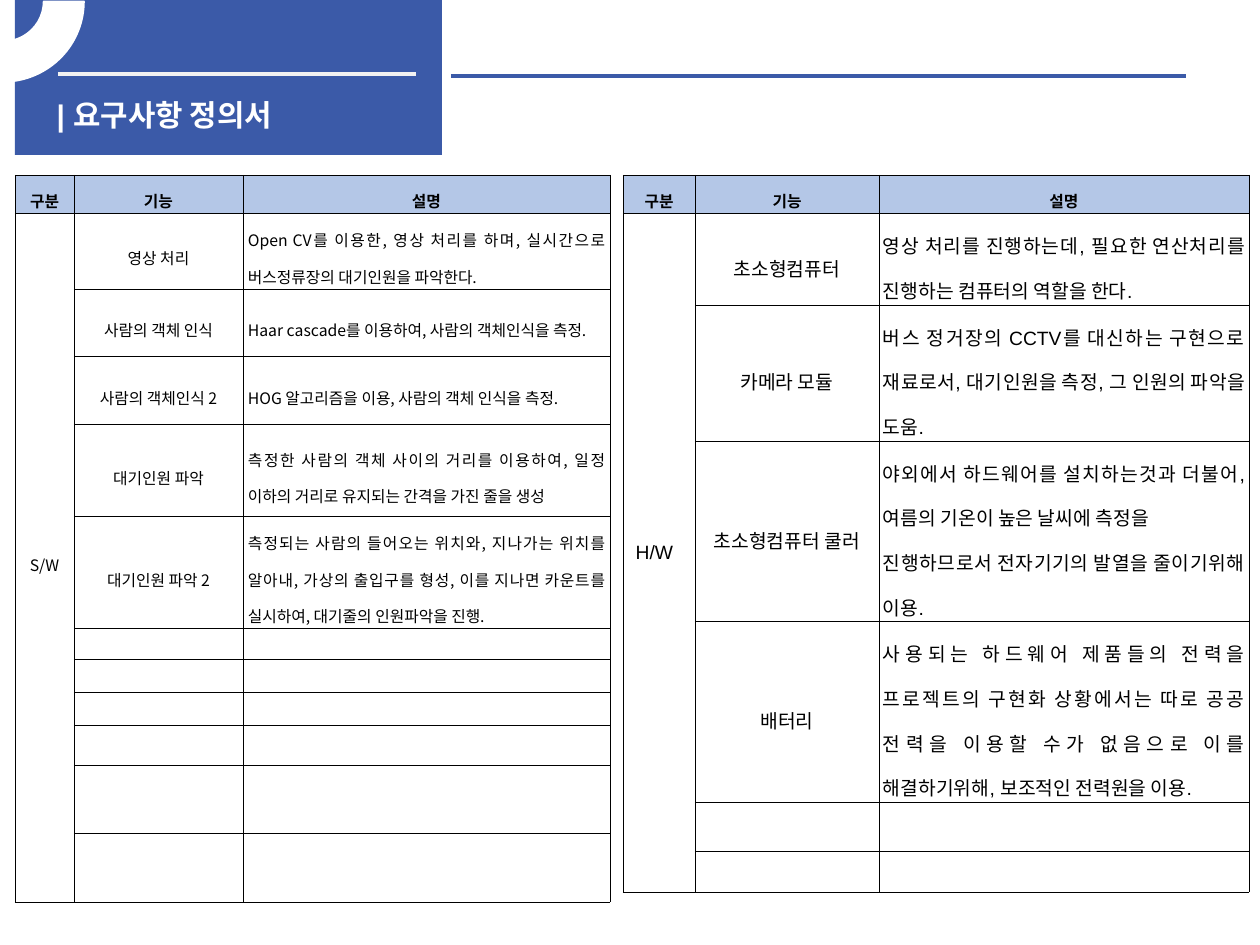
from dataclasses import dataclass

import pptx
import pptx.dml.color
import pptx.enum.shapes
import pptx.enum.text
import pptx.oxml.ns
import pptx.util
from lxml import etree

ALIGN = pptx.enum.text.PP_ALIGN
SHAPE = pptx.enum.shapes.MSO_SHAPE
MIDDLE = pptx.enum.text.MSO_ANCHOR.MIDDLE
qn = pptx.oxml.ns.qn


@dataclass(frozen=True)
class Theme:
    blue: str = "3B5AA8"
    header: str = "B4C7E7"
    pale: str = "F2F2F2"
    white: str = "FFFFFF"
    black: str = "000000"
    korean: str = "Noto Sans CJK KR"
    latin: str = "Arial"
    heading: str = "Calibri"
    title_size: int = 17
    large: int = 11
    small: int = 9
    rule: float = 2.25
    border: float = 0.28
    spacing: float = 1.6


def px(length):
    """Convert pixels (126 to the inch) to EMU."""
    return round(length * 914400 / 126)


def rgb(color):
    return pptx.dml.color.RGBColor.from_string(color)


class SlideBuilder:
    def __init__(self, slide, theme):
        self.slide = slide
        self.theme = theme

    def add_run(self, paragraph, text, size, font, color, bold=False):
        run = paragraph.add_run()
        run.text = text
        run.font.size = pptx.util.Pt(size)
        run.font.name = font
        run.font.bold = bold
        run.font.color.rgb = rgb(color)
        east_asian = etree.Element(qn("a:ea"), typeface=self.theme.korean)
        run.font._element.find(qn("a:latin")).addnext(east_asian)

    def shape(self, kind, left, top, width, height, color, outline=False):
        shape = self.slide.shapes.add_shape(
            kind, px(left), px(top), px(width), px(height))
        shape.shadow.inherit = False
        shape.fill.solid()
        shape.fill.fore_color.rgb = rgb(color)
        if outline:
            shape.line.color.rgb = rgb(color)
            shape.line.width = pptx.util.Pt(1)
        else:
            shape.line.fill.background()
        return shape

    def rule(self, left, right, y, color):
        line = self.slide.shapes.add_connector(
            pptx.enum.shapes.MSO_CONNECTOR.STRAIGHT,
            px(left), px(y), px(right), px(y))
        line.line.color.rgb = rgb(color)
        line.line.width = pptx.util.Pt(self.theme.rule)
        etree.SubElement(line._element.spPr, qn("a:effectLst"))

    def title(self, text, left, top, width, height):
        title = self.slide.shapes.title
        title.left, title.top = px(left), px(top)
        title.width, title.height = px(width), px(height)
        frame = title.text_frame
        frame.word_wrap = True
        frame.auto_size = pptx.enum.text.MSO_AUTO_SIZE.NONE
        frame.vertical_anchor = pptx.enum.text.MSO_ANCHOR.TOP
        frame.margin_top = frame.margin_bottom = px(1)
        paragraph = frame.paragraphs[0]
        paragraph.alignment = ALIGN.LEFT
        self.add_run(paragraph, text, self.theme.title_size,
                     self.theme.latin, self.theme.white, bold=True)
        # Bring the title in front of the banner
        title.element.getparent().append(title.element)

    def borders(self, cell):
        properties = cell._tc.get_or_add_tcPr()
        width = str(pptx.util.Pt(self.theme.border))
        for index, side in enumerate(("lnL", "lnR", "lnT", "lnB")):
            line = etree.Element(qn(f"a:{side}"), w=width)
            fill = etree.SubElement(line, qn("a:solidFill"))
            etree.SubElement(fill, qn("a:srgbClr"), val=self.theme.black)
            properties.insert(index, line)

    def cell(self, cell, text, size, font, align, inset, header=False):
        if header:
            cell.fill.solid()
            cell.fill.fore_color.rgb = rgb(self.theme.header)
        else:
            cell.fill.background()
        self.borders(cell)
        cell.vertical_anchor = MIDDLE
        if inset is not None:
            cell.margin_left = cell.margin_right = px(inset)
            cell.margin_top = cell.margin_bottom = px(1)
        frame = cell.text_frame
        for index, part in enumerate(text.split("\n")):
            paragraph = frame.add_paragraph() if index else frame.paragraphs[0]
            paragraph.alignment = align
            if part:
                if inset is not None:
                    paragraph.line_spacing = self.theme.spacing
                self.add_run(paragraph, part, size, font,
                             self.theme.black, header)
            else:
                etree.SubElement(paragraph._p, qn("a:endParaRPr"),
                                 sz=str(self.theme.small * 100))

    def requirements(self, left, top, widths, heights, group, items,
                     size, font, heading_font, inset, group_centered):
        table = self.slide.shapes.add_table(
            len(heights), len(widths), px(left), px(top),
            px(sum(widths)), px(sum(heights))).table
        table.first_row = table.horz_banding = False
        for column, width in zip(table.columns, widths):
            column.width = px(width)
        for row, height in zip(table.rows, heights):
            row.height = px(height)

        for column, text in enumerate(("구분", "기능", "설명")):
            self.cell(table.cell(0, column), text, self.theme.small,
                      heading_font, ALIGN.CENTER, inset, header=True)

        table.cell(1, 0).merge(table.cell(len(heights) - 1, 0))
        blanks = [("", "")] * (len(heights) - 1 - len(items))
        for row, (feature, description) in enumerate(items + blanks, 1):
            label = group if row == 1 else ""
            self.cell(table.cell(row, 0), label, size, font,
                      ALIGN.CENTER if group_centered else ALIGN.LEFT,
                      inset if group_centered else None)
            self.cell(table.cell(row, 1), feature, size, font,
                      ALIGN.CENTER, inset)
            self.cell(table.cell(row, 2), description, size, font,
                      ALIGN.JUSTIFY, inset)


SOFTWARE = [
    ("영상 처리",
     "Open CV를 이용한, 영상 처리를 하며, 실시간으로 버스정류장의 대기인원을 파악한다."),
    ("사람의 객체 인식", "Haar cascade를 이용하여, 사람의 객체인식을 측정."),
    ("사람의 객체인식 2", "HOG 알고리즘을 이용, 사람의 객체 인식을 측정."),
    ("대기인원 파악",
     "측정한 사람의 객체 사이의 거리를 이용하여, 일정 이하의 거리로 유지되는 간격을 가진 줄을 생성"),
    ("대기인원 파악 2",
     "측정되는 사람의 들어오는 위치와, 지나가는 위치를 알아내, 가상의 출입구를 형성, "
     "이를 지나면 카운트를 실시하여, 대기줄의 인원파악을 진행."),
]
HARDWARE = [
    ("초소형컴퓨터", "영상 처리를 진행하는데, 필요한 연산처리를 진행하는 컴퓨터의 역할을 한다."),
    ("카메라 모듈",
     "버스 정거장의 CCTV를 대신하는 구현으로 재료로서, 대기인원을 측정, 그 인원의 파악을 도움."),
    ("초소형컴퓨터 쿨러",
     "야외에서 하드웨어를 설치하는것과 더불어, 여름의 기온이 높은 날씨에 측정을\n"
     "진행하므로서 전자기기의 발열을 줄이기위해 이용."),
    ("배터리",
     "사용되는 하드웨어 제품들의 전력을 프로젝트의 구현화 상황에서는 따로 공공 전력을 "
     "이용할 수가 없음으로 이를 해결하기위해, 보조적인 전력원을 이용."),
]


def main():
    theme = Theme()
    deck = pptx.Presentation()
    deck.slide_width, deck.slide_height = px(1260), px(945)
    builder = SlideBuilder(deck.slides.add_slide(deck.slide_layouts[5]), theme)

    # Banner with title
    builder.shape(SHAPE.RECTANGLE, 15, 0, 427, 155, theme.blue)
    builder.rule(58, 416, 74, theme.pale)
    builder.rule(451, 1186, 76, theme.blue)
    builder.title("| 요구사항 정의서", 44, 96, 387, 40)

    # Corner ring
    ring = builder.shape(SHAPE.BLOCK_ARC, -79, -79, 163, 161,
                         theme.white, outline=True)
    for index, value in enumerate((96.95, 0, 0.25)):
        ring.adjustments[index] = value
    ring._element.spPr.find(qn("a:xfrm")).set("flipV", "1")

    # Software requirements
    builder.requirements(
        15, 175, (59, 169, 367),
        (33, 68, 68, 68, 92, 92, 31, 33, 33, 40, 68, 69),
        "S/W", SOFTWARE, theme.small, theme.korean, theme.korean,
        inset=5, group_centered=True)

    # Hardware requirements
    builder.requirements(
        623, 175, (72, 184, 370), (29, 69, 105, 141, 141, 49, 41),
        "H/W", HARDWARE, theme.large, theme.latin, theme.heading,
        inset=4, group_centered=False)

    deck.save("out.pptx")


if __name__ == "__main__":
    main()
